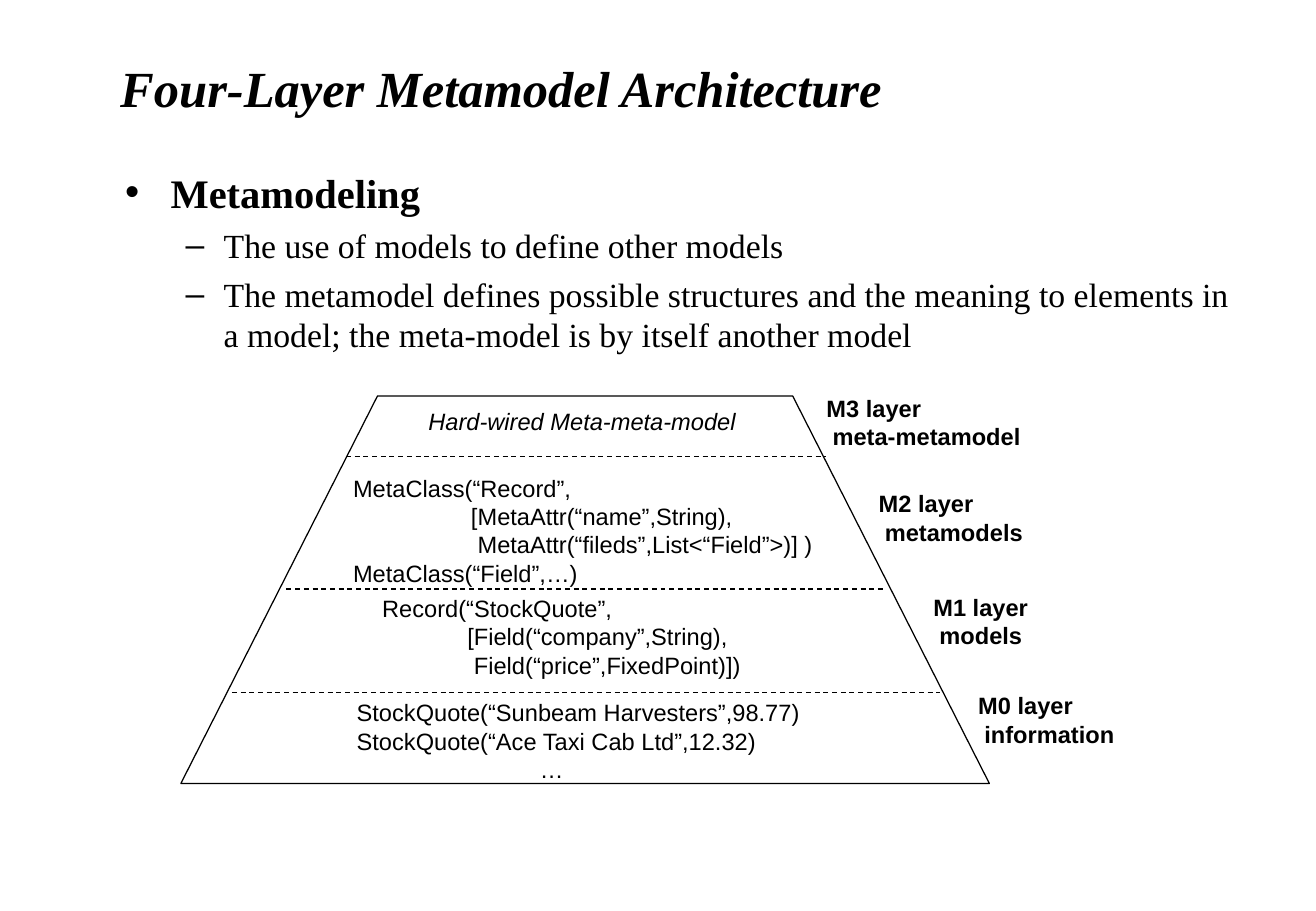
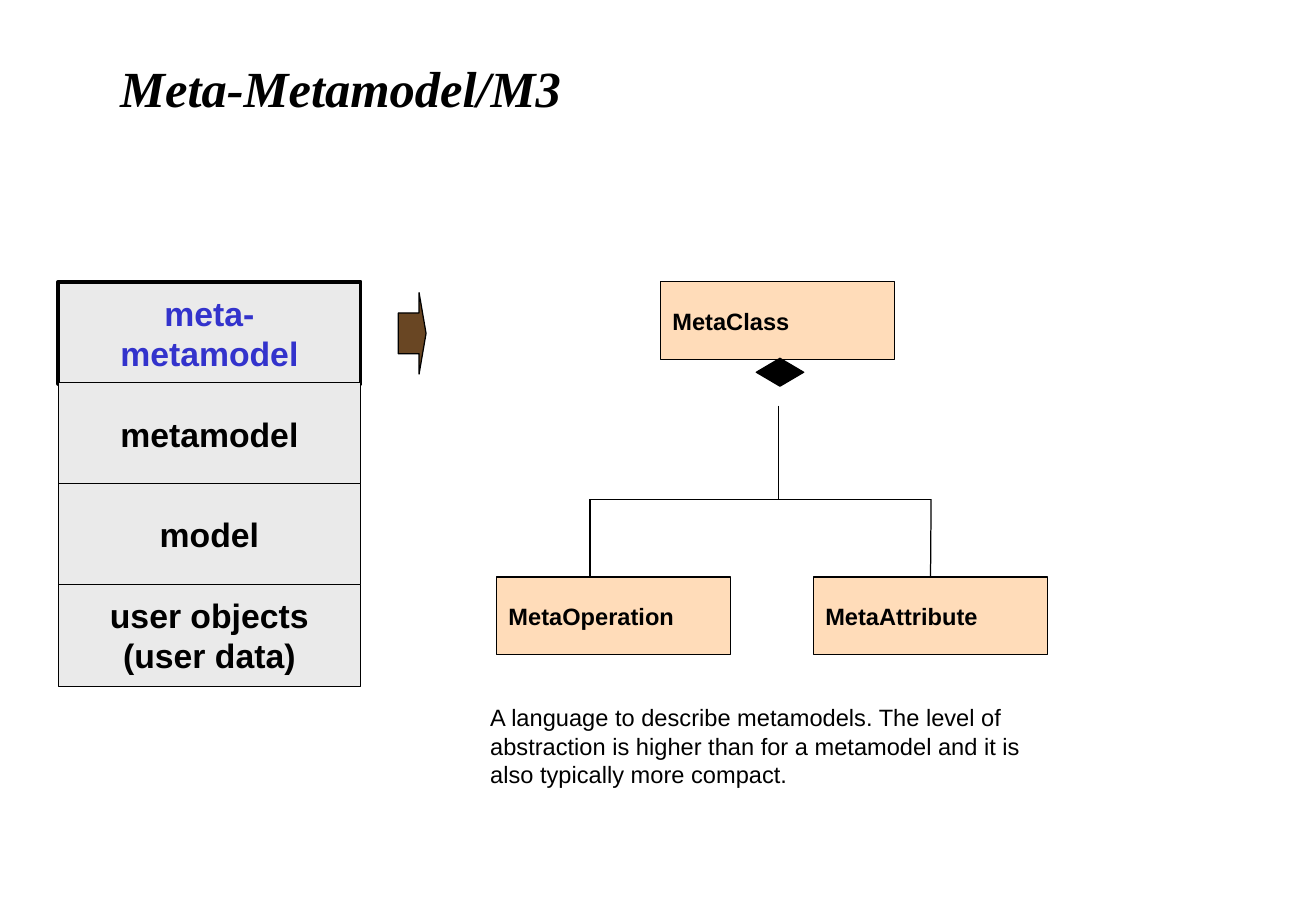
"""Build two slides on the four-layer metamodel architecture."""
from dataclasses import dataclass

import lxml.etree
import pptx
import pptx.dml.color
import pptx.enum.dml
import pptx.enum.shapes
import pptx.enum.text
import pptx.oxml.ns
import pptx.util

Inches = pptx.util.Inches
Pt = pptx.util.Pt
Align = pptx.enum.text.PP_ALIGN
Anchor = pptx.enum.text.MSO_ANCHOR
Preset = pptx.enum.shapes.MSO_SHAPE

BLACK = "000000"
BLUE = "3333CC"
GREY = "EAEAEA"
PEACH = "FFDCB9"
BROWN = "694623"
SERIF = "Times New Roman"
SANS = "Arial"
LINE_WIDTH = 0.75


@dataclass(frozen=True)
class TextBlock:
    """A text box; last_indent moves its last line to the right."""
    left: float
    top: float
    width: float
    height: float
    text: str
    bold: bool = False
    italic: bool = False
    last_indent: float = 0


@dataclass(frozen=True)
class Box:
    """A filled preset shape with optional text."""
    left: float
    top: float
    width: float
    height: float
    fill: str
    text: str = ""
    preset: Preset = Preset.RECTANGLE
    size: float = 14
    color: str = BLACK
    align: Align = Align.LEFT
    line_width: float = LINE_WIDTH


@dataclass(frozen=True)
class Line:
    """A straight line between two points."""
    x1: float
    y1: float
    x2: float
    y2: float
    dashed: bool = False


def rgb(color: str) -> pptx.dml.color.RGBColor:
    """Turn a hex string into a colour."""
    return pptx.dml.color.RGBColor.from_string(color)


def format_font(paragraph, name: str, size: float, color: str = BLACK,
                bold: bool = False, italic: bool = False) -> None:
    """Set the font of a whole paragraph."""
    font = paragraph.font
    font.name = name
    font.size = Pt(size)
    font.bold = bold
    font.italic = italic
    font.color.rgb = rgb(color)


def place(shape, left: float, top: float, width: float, height: float) -> None:
    """Move and size a shape."""
    shape.left, shape.top = Inches(left), Inches(top)
    shape.width, shape.height = Inches(width), Inches(height)


def outline(shape, width: float = LINE_WIDTH) -> None:
    """Give a shape a black line."""
    shape.line.color.rgb = rgb(BLACK)
    shape.line.width = Pt(width)


def add_slide(presentation, layout_index: int, title_text: str):
    """Add a slide with the shared title style."""
    slide = presentation.slides.add_slide(presentation.slide_layouts[layout_index])
    title = slide.shapes.title
    place(title, 0.89, 0.31, 9.49, 0.81)
    title.text_frame.text = title_text
    title.text_frame.vertical_anchor = Anchor.MIDDLE
    title.text_frame.auto_size = pptx.enum.text.MSO_AUTO_SIZE.NONE
    paragraph = title.text_frame.paragraphs[0]
    paragraph.alignment = Align.LEFT
    format_font(paragraph, SERIF, 30, bold=True, italic=True)
    return slide


def add_text(slide, block: TextBlock) -> None:
    """Draw a text box."""
    shape = slide.shapes.add_textbox(
        *map(Inches, (block.left, block.top, block.width, block.height)))
    frame = shape.text_frame
    frame.word_wrap = True
    frame.text = block.text
    if block.last_indent:
        properties = frame.paragraphs[-1]._p.get_or_add_pPr()
        properties.set("marL", str(Inches(block.last_indent)))
    for paragraph in frame.paragraphs:
        format_font(paragraph, SANS, 14, bold=block.bold, italic=block.italic)


def add_box(slide, box: Box):
    """Draw a filled shape with its text."""
    shape = slide.shapes.add_shape(
        box.preset, *map(Inches, (box.left, box.top, box.width, box.height)))
    shape.shadow.inherit = False
    shape.fill.solid()
    shape.fill.fore_color.rgb = rgb(box.fill)
    outline(shape, box.line_width)
    if box.text:
        frame = shape.text_frame
        frame.text = box.text
        frame.vertical_anchor = Anchor.MIDDLE
        for paragraph in frame.paragraphs:
            paragraph.alignment = box.align
            format_font(paragraph, SANS, box.size, box.color, bold=True)
    return shape


def add_line(slide, line: Line):
    """Draw a straight line."""
    connector = slide.shapes.add_connector(
        pptx.enum.shapes.MSO_CONNECTOR.STRAIGHT,
        *map(Inches, (line.x1, line.y1, line.x2, line.y2)))
    outline(connector)
    if line.dashed:
        connector.line.dash_style = pptx.enum.dml.MSO_LINE.DASH
    lxml.etree.SubElement(connector._element.spPr, pptx.oxml.ns.qn("a:effectLst"))
    return connector


def add_trapezoid(slide) -> None:
    """Draw the outline around the four layers."""
    corners = [(Inches(x), Inches(y))
               for x, y in ((8.15, 6.45), (6.53, 3.26), (3.11, 3.26), (1.49, 6.45))]
    builder = slide.shapes.build_freeform(*corners[0])
    builder.add_line_segments(corners[1:], close=True)
    shape = builder.convert_to_shape()
    shape.shadow.inherit = False
    shape.fill.background()
    outline(shape)


def build_architecture(presentation) -> None:
    """Build the slide with the four layers."""
    slide = add_slide(presentation, 1, "Four-Layer Metamodel Architecture")
    body = slide.placeholders[1]
    place(body, 0.93, 1.33, 9.37, 5.33)
    frame = body.text_frame
    frame.auto_size = pptx.enum.text.MSO_AUTO_SIZE.NONE
    frame.text = "\n".join((
        "Metamodeling",
        "The use of models to define other models",
        "The metamodel defines possible structures and the meaning to elements "
        "in a model; the meta-model is by itself another model",
    ))
    for index, paragraph in enumerate(frame.paragraphs):
        is_heading = index == 0
        paragraph.level = 0 if is_heading else 1
        paragraph.space_before = Pt(0 if is_heading else 5)
        format_font(paragraph, SERIF, 24 if is_heading else 20, bold=is_heading)

    add_trapezoid(slide)
    for left, y in ((2.85, 3.76), (2.36, 4.85), (1.91, 5.7)):
        add_line(slide, Line(left, y, 9.65 - left, y, dashed=True))

    contents = (
        TextBlock(3.43, 3.3, 3, 0.34, "Hard-wired Meta-meta-model", italic=True),
        TextBlock(2.81, 3.85, 4.44, 1.04, "\n".join((
            "MetaClass(“Record”,",
            "                  [MetaAttr(“name”,String),",
            "                   MetaAttr(“fileds”,List<“Field”>)] )",
            "MetaClass(“Field”,…)"))),
        TextBlock(3.05, 4.84, 3.63, 0.8, "\n".join((
            "Record(“StockQuote”,",
            "             [Field(“company”,String),",
            "              Field(“price”,FixedPoint)])"))),
        TextBlock(2.84, 5.7, 4, 0.8, "\n".join((
            "StockQuote(“Sunbeam Harvesters”,98.77)",
            "StockQuote(“Ace Taxi Cab Ltd”,12.32)",
            "…")), last_indent=1.51),
    )
    for block in contents:
        add_text(slide, block)

    labels = (
        (6.71, 3.19, "M3 layer\nmeta-metamodel"),
        (7.14, 3.98, "M2 layer\nmetamodels"),
        (7.59, 4.83, "M1 layer\nmodels"),
        (7.96, 5.64, "M0 layer\ninformation"),
    )
    for left, top, text in labels:
        add_text(slide, TextBlock(left, top, 2, 0.57, text, bold=True, last_indent=0.05))


def build_meta_metamodel(presentation) -> None:
    """Build the slide on the M3 layer."""
    slide = add_slide(presentation, 5, "Meta-Metamodel/M3")
    layers = ("meta-\nmetamodel", "metamodel", "model", "user objects\n(user data)")
    for index, text in enumerate(layers):
        current = index == 0
        add_box(slide, Box(0.48, 2.32 + 0.83 * index, 2.49, 0.84, GREY, text, size=20,
                           color=BLUE if current else BLACK, align=Align.CENTER,
                           line_width=2.25 if current else LINE_WIDTH))

    arrow = add_box(slide, Box(3.28, 2.41, 0.23, 0.67, BROWN, preset=Preset.RIGHT_ARROW))
    arrow.adjustments[0] = 0.5
    arrow.adjustments[1] = 0.25

    add_text(slide, TextBlock(
        3.94, 5.74, 4.6, 0.8,
        "A language to describe metamodels. The level of abstraction is higher "
        "than for a metamodel and it is also typically more compact."))

    classes = {
        name: add_box(slide, Box(left, top, 1.93, 0.64, PEACH, name))
        for name, left, top in (("MetaOperation", 4.09, 4.75),
                                ("MetaClass", 5.44, 2.32),
                                ("MetaAttribute", 6.7, 4.75))
    }
    add_box(slide, Box(6.23, 2.95, 0.39, 0.23, BLACK, preset=Preset.DIAMOND))

    branch_y = 4.11
    add_line(slide, Line(4.86, branch_y, 7.67, branch_y))
    add_line(slide, Line(6.41, 3.34, 6.41, branch_y))
    add_line(slide, Line(4.86, branch_y, 4.86, 4.75))
    attribute_line = add_line(slide, Line(7.67, branch_y, 7.67, 4.75))
    attribute_line.end_connect(classes["MetaAttribute"], 0)


def main() -> None:
    """Build and save the presentation."""
    presentation = pptx.Presentation()
    presentation.slide_width = Inches(10.84)
    presentation.slide_height = Inches(7.5)
    build_architecture(presentation)
    build_meta_metamodel(presentation)
    presentation.save("out.pptx")


if __name__ == "__main__":
    main()
